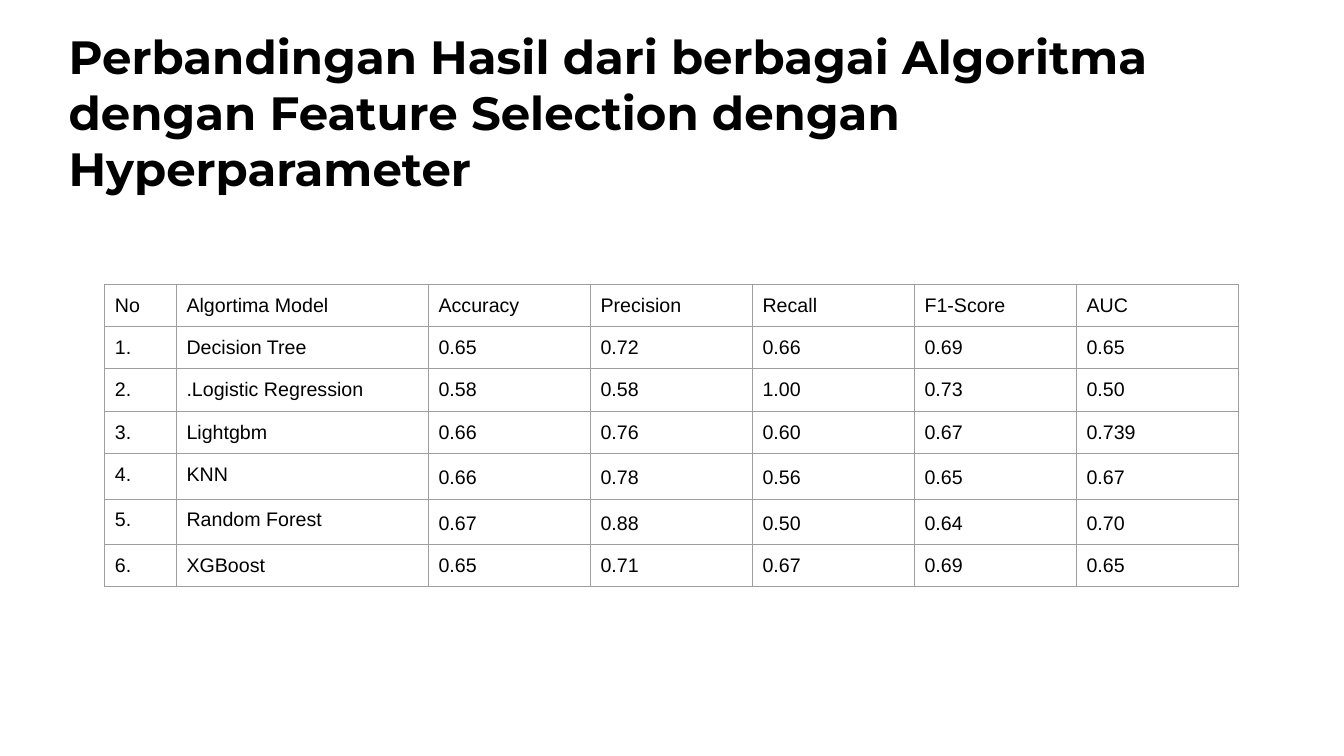
from dataclasses import dataclass

from lxml.etree import SubElement
from pptx import Presentation
from pptx.dml.color import RGBColor as Color
from pptx.enum.text import MSO_ANCHOR as Anchor, MSO_AUTO_SIZE as Fit, PP_ALIGN as Align
from pptx.oxml.ns import qn
from pptx.slide import Slide
from pptx.table import _Cell as Cell
from pptx.text.text import _Paragraph as Para
from pptx.util import Inches, Pt


@dataclass(frozen=True)
class Theme:
    ink: str = "000000"
    rule: str = "9E9E9E"
    rule_pt: float = 0.75
    head_font: str = "Montserrat"
    head_pt: float = 33.3
    body_font: str = "Arial"
    body_pt: float = 14


@dataclass(frozen=True)
class Score:
    model: str
    marks: tuple[str, ...]
    lead: float = 1.0


THEME = Theme()
TITLE = "Perbandingan Hasil dari berbagai Algoritma dengan Feature Selection dengan Hyperparameter"
HEADS = ("No", "Algortima Model", "Accuracy", "Precision", "Recall", "F1-Score", "AUC")
SCORES = (
    Score("Decision Tree", ("0.65", "0.72", "0.66", "0.69", "0.65")),
    Score(".Logistic Regression", ("0.58", "0.58", "1.00", "0.73", "0.50")),
    Score("Lightgbm", ("0.66", "0.76", "0.60", "0.67", "0.739")),
    Score("KNN", ("0.66", "0.78", "0.56", "0.65", "0.67"), 1.15),
    Score("Random Forest", ("0.67", "0.88", "0.50", "0.64", "0.70"), 1.15),
    Score("XGBoost", ("0.65", "0.71", "0.67", "0.69", "0.65")),
)
WIDTHS = (0.71, 2.5) + (1.607,) * 5
ROW = 0.42
PAD = 0.1


def style(para: Para, face: str, size: float, bold: bool = False) -> None:
    para.font.name = face
    para.font.size = Pt(size)
    para.font.bold = bold
    para.font.color.rgb = Color.from_string(THEME.ink)


def add_title(slide: Slide) -> None:
    title = slide.shapes.title
    title.left, title.top = Inches(0.55), Inches(0.15)
    title.width, title.height = Inches(12.24), Inches(0.83)
    frame = title.text_frame
    frame.text = TITLE
    frame.word_wrap = True
    frame.auto_size = Fit.NONE
    frame.vertical_anchor = Anchor.TOP
    frame.margin_left = frame.margin_right = Inches(0.13)
    frame.margin_top = frame.margin_bottom = Inches(0.13)
    para = frame.paragraphs[0]
    para.alignment = Align.LEFT
    style(para, THEME.head_font, THEME.head_pt, True)


def add_rules(cell: Cell) -> None:
    props = cell._tc.get_or_add_tcPr()
    for side in ("a:lnL", "a:lnR", "a:lnT", "a:lnB"):
        line = SubElement(props, qn(side), w=str(Pt(THEME.rule_pt)))
        fill = SubElement(line, qn("a:solidFill"))
        SubElement(fill, qn("a:srgbClr"), val=THEME.rule)


def fill_cell(cell: Cell, text: str, lead: float) -> None:
    cell.text = text
    cell.margin_left = cell.margin_right = Inches(PAD)
    cell.margin_top = cell.margin_bottom = Inches(PAD)
    add_rules(cell)
    cell.fill.background()
    para = cell.text_frame.paragraphs[0]
    if lead != 1:
        para.line_spacing = lead
    style(para, THEME.body_font, THEME.body_pt)


def add_scores(slide: Slide) -> None:
    count = len(SCORES) + 1
    table = slide.shapes.add_table(
        count, len(HEADS), Inches(1.04), Inches(2.82),
        Inches(sum(WIDTHS)), Inches(ROW * count),
    ).table
    table.first_row = table.horz_banding = False
    for col, width in zip(table.columns, WIDTHS):
        col.width = Inches(width)
    for row in table.rows:
        row.height = Inches(ROW)
    for col, head in enumerate(HEADS):
        fill_cell(table.cell(0, col), head, 1)
    for row, score in enumerate(SCORES, 1):
        for col, text in enumerate((f"{row}.", score.model, *score.marks)):
            fill_cell(table.cell(row, col), text, score.lead if col > 1 else 1)


def main() -> None:
    deck = Presentation()
    deck.slide_width, deck.slide_height = Inches(13.33), Inches(7.5)
    slide = deck.slides.add_slide(deck.slide_layouts[5])
    add_title(slide)
    add_scores(slide)
    deck.save("out.pptx")


if __name__ == "__main__":
    main()
